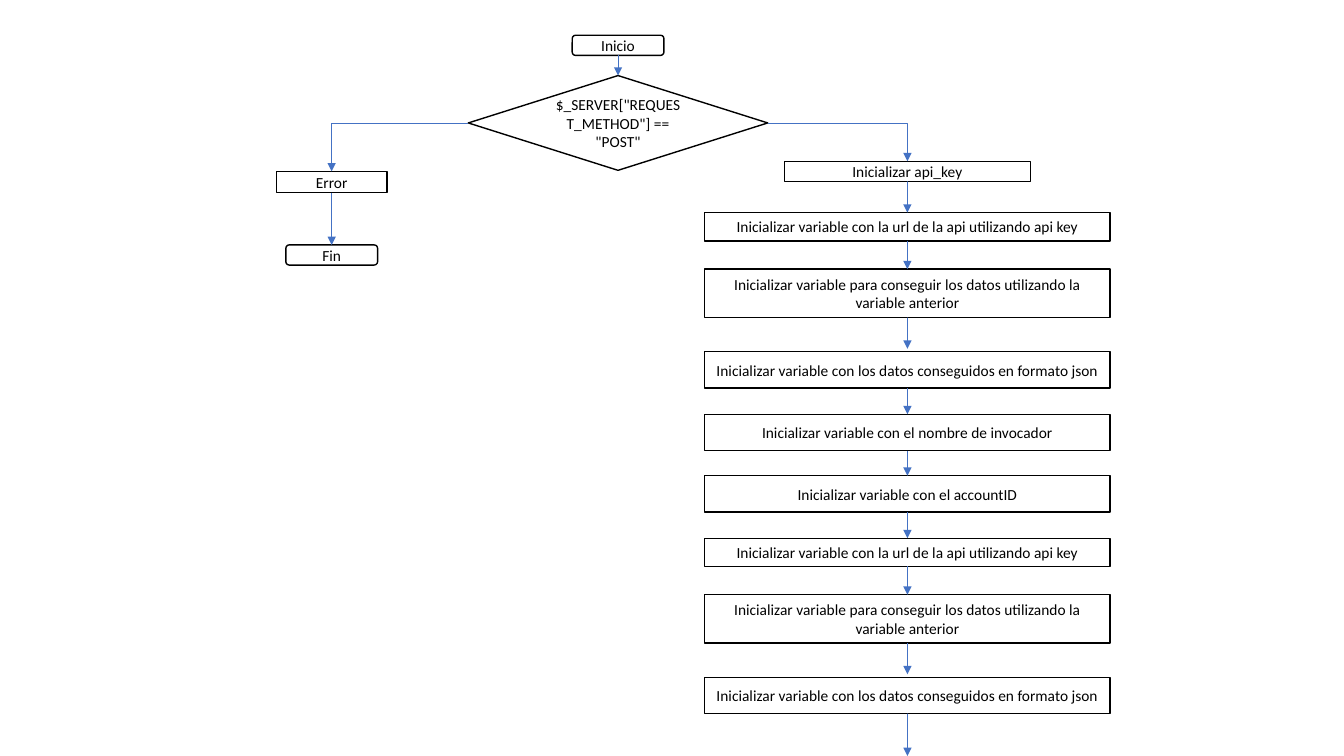
import pptx
import pptx.util
import pptx.dml.color
import pptx.enum.shapes
import pptx.enum.text
import pptx.oxml
import pptx.oxml.ns

COLORS = {"fill": "FFFFFF", "ink": "000000", "arrow": "4472C4"}
SHAPES = pptx.enum.shapes.MSO_SHAPE
CONNECTORS = pptx.enum.shapes.MSO_CONNECTOR
TOP, LEFT, BOTTOM, RIGHT = range(4)  # connection sites of every node
SLIDE_WIDTH, SLIDE_HEIGHT = 13.33, 7.5
TERMINAL_WIDTH, TERMINAL_HEIGHT = 0.91, 0.2

# Steps that fetch data: text, gap above, height, arrow clearance
FETCH_STEPS = [
    ("Inicializar variable para conseguir los datos utilizando la variable anterior", 0.28, 0.48, 0),
    ("Inicializar variable con los datos conseguidos en formato json", 0.34, 0.36, 0.03),
]
URL_TEXT = "Inicializar variable con la url de la api utilizando api key"
STEPS = [
    (URL_TEXT, 0.31, 0.28, 0),
    *FETCH_STEPS,
    ("Inicializar variable con el nombre de invocador", 0.26, 0.36, 0),
    ("Inicializar variable con el accountID", 0.25, 0.36, 0),
    (URL_TEXT, 0.26, 0.28, 0),
    *FETCH_STEPS,
]


def rgb(name):
    return pptx.dml.color.RGBColor.from_string(COLORS[name])


def inches(*lengths):
    return [pptx.util.Inches(length) for length in lengths]


def add_node(slide, kind, text, center, top, width, height):
    """Place an outlined node centred on a vertical axis."""
    shape = slide.shapes.add_shape(kind, *inches(center - width / 2, top, width, height))
    shape.shadow.inherit = False
    shape.fill.solid()
    shape.fill.fore_color.rgb = rgb("fill")
    shape.line.color.rgb = rgb("ink")
    shape.line.width = pptx.util.Pt(1)
    frame = shape.text_frame
    frame.text = text
    frame.word_wrap = True
    frame.vertical_anchor = pptx.enum.text.MSO_ANCHOR.MIDDLE
    paragraph = frame.paragraphs[0]
    paragraph.alignment = pptx.enum.text.PP_ALIGN.CENTER
    font = paragraph.runs[0].font
    font.name = "Calibri"
    font.size = pptx.util.Pt(11)
    font.color.rgb = rgb("ink")
    return shape


def add_arrow(slide, source, site, target=None, end=(0, 0), bent=False):
    """Draw an arrow from a node's site to a target's top, or to a free end."""
    kind = CONNECTORS.ELBOW if bent else CONNECTORS.STRAIGHT
    connector = slide.shapes.add_connector(kind, 0, 0, *inches(*end))
    connector.begin_connect(source, site)
    if target is not None:
        connector.end_connect(target, TOP)
    connector.line.color.rgb = rgb("arrow")
    connector.line.width = pptx.util.Pt(0.5)
    properties = connector._element.spPr
    if bent:  # a single corner
        properties.find(pptx.oxml.ns.qn("a:prstGeom")).set("prst", "bentConnector2")
    line = properties.find(pptx.oxml.ns.qn("a:ln"))
    pptx.oxml.ns.qn("a:tailEnd")
    tail = line.makeelement(pptx.oxml.ns.qn("a:tailEnd"), {"type": "triangle"})
    line.append(tail)
    properties.append(properties.makeelement(pptx.oxml.ns.qn("a:effectLst"), {}))


def add_decision(slide, center, top, width):
    """Start terminal and request check."""
    start = add_node(slide, SHAPES.ROUNDED_RECTANGLE, "Inicio",
                     center, top, TERMINAL_WIDTH, TERMINAL_HEIGHT)
    decision = add_node(slide, SHAPES.DIAMOND, '$_SERVER["REQUEST_METHOD"] == "POST"',
                        center, top + 0.4, width, 0.94)
    add_arrow(slide, start, BOTTOM, decision)
    return decision


def add_error_branch(slide, decision, center, top, width):
    """Left branch: error and end."""
    error = add_node(slide, SHAPES.RECTANGLE, "Error", center, top, width, 0.21)
    finish = add_node(slide, SHAPES.ROUNDED_RECTANGLE, "Fin",
                      center, top + 0.73, TERMINAL_WIDTH, TERMINAL_HEIGHT)
    add_arrow(slide, decision, LEFT, error, bent=True)
    add_arrow(slide, error, BOTTOM, finish)


def add_request_branch(slide, decision, center, top, width):
    """Right branch: column of steps that runs on to the slide's bottom edge."""
    height = 0.2
    previous = add_node(slide, SHAPES.RECTANGLE, "Inicializar api_key",
                        center, top, 2.44, height)
    add_arrow(slide, decision, RIGHT, previous, bent=True)
    bottom = top + height
    for text, gap, height, clearance in STEPS:
        top = bottom + gap
        step = add_node(slide, SHAPES.RECTANGLE, text, center, top, width, height)
        if clearance:
            add_arrow(slide, previous, BOTTOM, end=(center, top - clearance))
        else:
            add_arrow(slide, previous, BOTTOM, step)
        previous, bottom = step, top + height
    add_arrow(slide, previous, BOTTOM, end=(center, SLIDE_HEIGHT))


def main():
    presentation = pptx.Presentation()
    presentation.slide_width, presentation.slide_height = inches(SLIDE_WIDTH, SLIDE_HEIGHT)
    slide = presentation.slides.add_slide(presentation.slide_layouts[6])
    decision = add_decision(slide, center=6.13, top=0.35, width=2.97)
    add_error_branch(slide, decision, center=3.29, top=1.7, width=1.1)
    add_request_branch(slide, decision, center=9, top=1.6, width=4.02)
    presentation.save("out.pptx")


if __name__ == "__main__":
    main()
